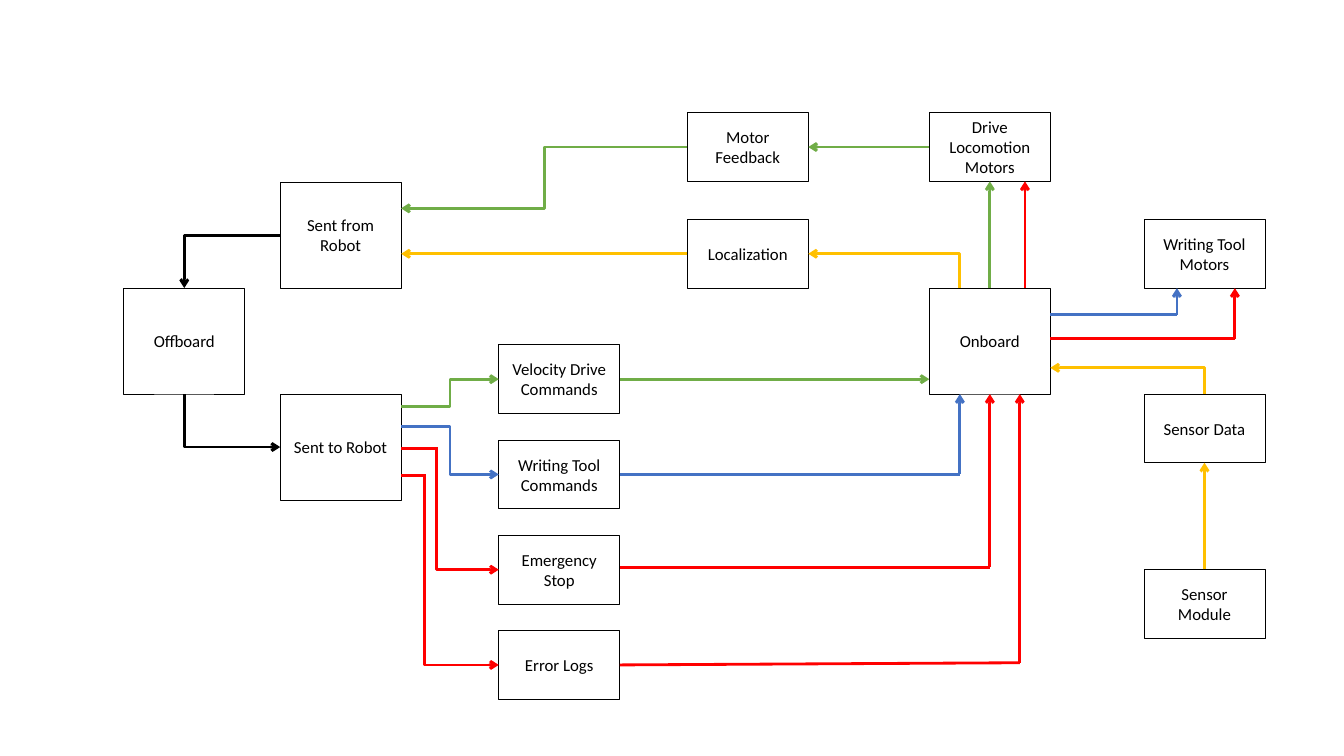
from lxml.etree import SubElement as Sub
from pptx import Presentation
from pptx.dml.color import RGBColor as Rgb
from pptx.enum.shapes import MSO_CONNECTOR as Conn, MSO_SHAPE as Form
from pptx.enum.text import MSO_ANCHOR as Anchor, PP_ALIGN as Align
from pptx.oxml.ns import qn
from pptx.util import Cm, Pt

BLACK, RED, GREEN = "000000", "FF0000", "70AD47"
BLUE, GOLD = "4472C4", "FFC000"
WIDE, LOW, TALL = 3.05, 1.73, 2.67  # box sizes in cm


def tint(code):
    """Turn a hex string into a colour."""
    return Rgb.from_string(code)


def write(frame, text, size=12, font="Calibri", color=BLACK):
    """Put centred text into a frame."""
    frame.word_wrap = True
    frame.vertical_anchor = Anchor.MIDDLE
    par = frame.paragraphs[0]
    par.alignment = Align.CENTER
    run = par.add_run()
    run.text = text
    run.font.size, run.font.name = Pt(size), font
    run.font.color.rgb = tint(color)


class Chart:
    """Hold the slide and the style of the flow chart."""

    edge, weight = 0.5, 2

    def __init__(self, slide):
        """Keep the slide to draw on."""
        self.shapes = slide.shapes

    def box(self, text, left, top, high=LOW):
        """Draw a labelled box."""
        box = self.shapes.add_shape(
            Form.RECTANGLE, Cm(left), Cm(top), Cm(WIDE), Cm(high))
        box.shadow.inherit = False
        box.fill.background()
        box.line.color.rgb = tint(BLACK)
        box.line.width = Pt(self.edge)
        write(box.text_frame, text)

    def link(self, color, start, end, kind=Conn.STRAIGHT, head=True):
        """Draw one connector, with an arrowhead unless told not to."""
        link = self.shapes.add_connector(
            kind, *[Cm(num) for num in (*start, *end)])
        link.line.color.rgb = tint(color)
        link.line.width = Pt(self.weight)
        props = link.element.spPr
        if head:
            Sub(props.find(qn("a:ln")), qn("a:tailEnd"), type="arrow")
        Sub(props, qn("a:effectLst"))
        return props

    def route(self, color, *points, head=True):
        """Join points with straight lines, the last one an arrow."""
        for num, start in enumerate(points[:-1], 2):
            self.link(color, start, points[num - 1],
                      head=head and num == len(points))

    def step(self, color, start, end):
        """Draw an elbow with two bends."""
        self.link(color, start, end, Conn.ELBOW)

    def turn(self, color, start, end, down=False):
        """Draw an elbow with one bend; down makes the first leg vertical."""
        (x1, y1), (x2, y2) = start, end
        if down:  # lay the path flat about its centre, then turn it by 270
            mx, my = (x1 + x2) / 2, (y1 + y2) / 2
            dx, dy = (y1 - y2) / 2, (x2 - x1) / 2
            start, end = (mx - dx, my - dy), (mx + dx, my + dy)
        props = self.link(color, start, end, Conn.ELBOW)
        props.find(qn("a:prstGeom")).set("prst", "bentConnector2")
        if down:
            props.find(qn("a:xfrm")).set("rot", "16200000")


deck = Presentation()
deck.slide_width, deck.slide_height = Cm(33.87), Cm(19.05)
chart = Chart(deck.slides.add_slide(deck.slide_layouts[6]))

# Columns, and the rows of the tall boxes
OFF, SENT, TASK, BACK, ON, TOOL = 3.12, 7.06, 12.57, 17.32, 23.42, 28.83
TOP, MID, BASE, END = 2.84, 7.26, 9.93, 14.35
UPPER = MID - LOW
for text, left, top in (
        ("Offboard", OFF, MID), ("Onboard", ON, MID),
        ("Sent from Robot", SENT, MID - TALL), ("Sent to Robot", SENT, BASE)):
    chart.box(text, left, top, TALL)

tasks = ("Velocity Drive Commands", "Writing Tool Commands",
         "Emergency Stop", "Error Logs")
rows = [8.69 + 2.4 * num for num in range(len(tasks))]
for text, top in zip(tasks, rows):
    chart.box(text, TASK, top)
for text, left, top in (
        ("Localization", BACK, UPPER), ("Motor Feedback", BACK, TOP),
        ("Writing Tool Motors", TOOL, UPPER), ("Sensor Data", TOOL, BASE),
        ("Sensor Module", TOOL, END), ("Drive Locomotion Motors", ON, TOP)):
    chart.box(text, left, top)

# Offboard exchange
hub = OFF + WIDE / 2
chart.turn(BLACK, (SENT, 5.94), (hub, MID))
chart.turn(BLACK, (hub, BASE), (SENT, BASE + TALL / 2), down=True)

# Sent to Robot -> commands
out = SENT + WIDE
drive, pen, stop, log = [top + LOW / 2 for top in rows]
chart.step(GREEN, (out, 10.24), (TASK, drive))
chart.step(BLUE, (out, 10.74), (TASK, pen))
for bend, level, goal in ((11, 11.31, stop), (10.7, 11.98, log)):
    chart.turn(RED, (bend, level), (TASK, goal), down=True)
    chart.route(RED, (bend + 0.03, level), (out, level), head=False)

# Commands -> Onboard
done = TASK + WIDE
core = ON + WIDE / 2
port = 24.19
chart.route(GREEN, (done, drive), (ON, drive))
chart.route(BLUE, (done, pen), (port, pen), (port, BASE))
chart.route(RED, (done, 14.3), (core, 14.3), (core, BASE))
chart.route(RED, (done, log), (25.7, 16.7), (25.7, BASE))

# Onboard <-> writing tool and sensors
side = ON + WIDE
probe = TOOL + WIDE / 2
chart.route(GOLD, (probe, END), (probe, BASE + LOW))
chart.turn(GOLD, (probe, BASE), (side, 9.27), down=True)
chart.route(RED, (side, 8.53), (31.12, 8.53), (31.12, MID))
chart.route(BLUE, (side, 7.93), (29.66, 7.93), (29.66, MID))

# Feedback -> Sent from Robot
high, place = TOP + LOW / 2, UPPER + LOW / 2
chart.route(GOLD, (BACK, place), (out, place))
chart.step(GREEN, (BACK, high), (out, 5.25))
chart.turn(GOLD, (port, MID), (BACK + WIDE, place), down=True)
for color, left in ((GREEN, core), (RED, 25.83)):
    chart.route(color, (left, MID), (left, TOP + LOW))
chart.route(GREEN, (ON, high), (BACK + WIDE, high))

deck.save("out.pptx")
